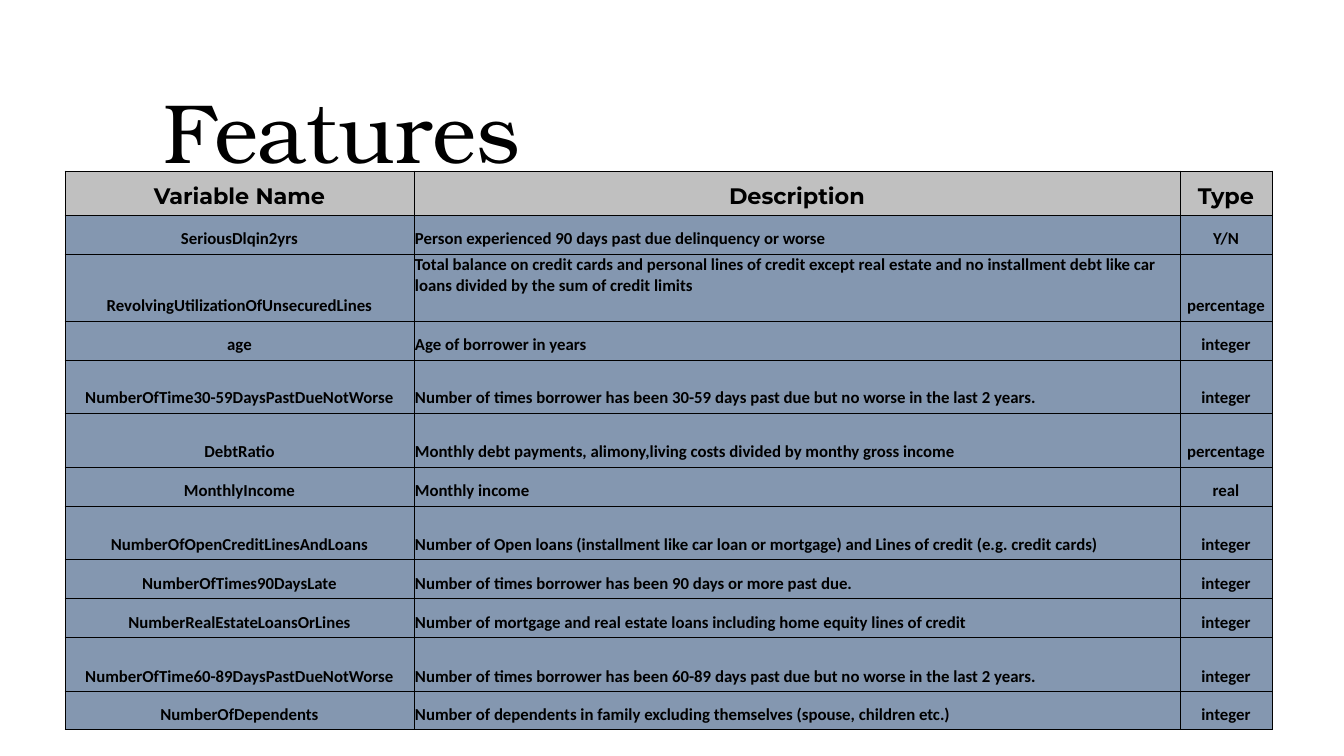
from dataclasses import dataclass

from lxml.etree import SubElement
from pptx import Presentation
from pptx.dml.color import RGBColor
from pptx.enum.text import MSO_ANCHOR, PP_ALIGN
from pptx.oxml.ns import qn
from pptx.util import Pt

# Content: name, description, type, row height in pixels
TITLE = "Features"
HEADER = ("Variable Name", "Description", "Type", 44)
FEATURES = [
    ("SeriousDlqin2yrs", "Person experienced 90 days past due delinquency or worse ", "Y/N", 39),
    ("RevolvingUtilizationOfUnsecuredLines",
     "Total balance on credit cards and personal lines of credit except real estate and no "
     "installment debt like car loans divided by the sum of credit limits", "percentage", 67),
    ("age", "Age of borrower in years", "integer", 39),
    ("NumberOfTime30-59DaysPastDueNotWorse",
     "Number of times borrower has been 30-59 days past due but no worse in the last 2 years.",
     "integer", 53),
    ("DebtRatio", "Monthly debt payments, alimony,living costs divided by monthy gross income",
     "percentage", 54),
    ("MonthlyIncome", "Monthly income", "real", 39),
    ("NumberOfOpenCreditLinesAndLoans",
     "Number of Open loans (installment like car loan or mortgage) and Lines of credit "
     "(e.g. credit cards)", "integer", 54),
    ("NumberOfTimes90DaysLate", "Number of times borrower has been 90 days or more past due.",
     "integer", 39),
    ("NumberRealEstateLoansOrLines",
     "Number of mortgage and real estate loans including home equity lines of credit",
     "integer", 39),
    ("NumberOfTime60-89DaysPastDueNotWorse",
     "Number of times borrower has been 60-89 days past due but no worse in the last 2 years.",
     "integer", 54),
    ("NumberOfDependents",
     "Number of dependents in family excluding themselves (spouse, children etc.)",
     "integer", 38),
]
COLUMN_WIDTHS = (349, 766, 92)
DESCRIPTION_COLUMN = 1
TOP_ALIGNED = "RevolvingUtilizationOfUnsecuredLines"


@dataclass(frozen=True)
class Theme:
    text: str = "000000"
    border: str = "000000"
    header_fill: str = "C0C0C0"
    body_fill: str = "8497B0"
    title_font: tuple = ("TeX Gyre Bonum", 60, False)
    header_font: tuple = ("Montserrat", 16, True)
    body_font: tuple = ("Calibri", 12, True)
    border_width: float = 0.5


THEME = Theme()


def px(pixels):
    return round(pixels * 914400 / 100.8)


def write(para, text, font):
    para.text = text
    para.font.name, size, para.font.bold = font
    para.font.size = Pt(size)
    para.font.color.rgb = RGBColor.from_string(THEME.text)


def add_borders(cell):
    properties = cell._tc.get_or_add_tcPr()
    for position, side in enumerate(("a:lnL", "a:lnR", "a:lnT", "a:lnB")):
        line = SubElement(properties, qn(side), w=str(Pt(THEME.border_width)))
        fill = SubElement(line, qn("a:solidFill"))
        SubElement(fill, qn("a:srgbClr"), val=THEME.border)
        properties.insert(position, line)


def style_cell(cell, text, font, fill, align, anchor):
    cell.margin_left = cell.margin_right = cell.margin_top = px(1)
    cell.margin_bottom = px(5)
    cell.vertical_anchor = anchor
    cell.fill.solid()
    cell.fill.fore_color.rgb = RGBColor.from_string(fill)
    add_borders(cell)
    para = cell.text_frame.paragraphs[0]
    write(para, text, font)
    para.alignment = align


deck = Presentation()
deck.slide_width, deck.slide_height = px(1344), px(756)
page = deck.slides.add_slide(deck.slide_layouts[6])

# Title
title = page.shapes.add_textbox(px(154), px(46), px(1008), px(141)).text_frame
title.word_wrap = True
title.vertical_anchor = MSO_ANCHOR.BOTTOM
write(title.paragraphs[0], TITLE, THEME.title_font)
title.paragraphs[0].line_spacing = 0.9

# Feature table
rows = [HEADER, *FEATURES]
table = page.shapes.add_table(
    len(rows), len(COLUMN_WIDTHS), px(65), px(171),
    px(sum(COLUMN_WIDTHS)), px(sum(row[-1] for row in rows))).table
table.horz_banding = False
for column, width in zip(table.columns, COLUMN_WIDTHS):
    column.width = px(width)

for row_index, (*texts, height) in enumerate(rows):
    table.rows[row_index].height = px(height)
    is_header = row_index == 0
    font = THEME.header_font if is_header else THEME.body_font
    fill = THEME.header_fill if is_header else THEME.body_fill
    for column_index, text in enumerate(texts):
        is_description = column_index == DESCRIPTION_COLUMN and not is_header
        align = PP_ALIGN.LEFT if is_description else PP_ALIGN.CENTER
        at_top = is_description and texts[0] == TOP_ALIGNED
        anchor = MSO_ANCHOR.TOP if at_top else MSO_ANCHOR.BOTTOM
        style_cell(table.cell(row_index, column_index), text, font, fill, align, anchor)

deck.save("out.pptx")
